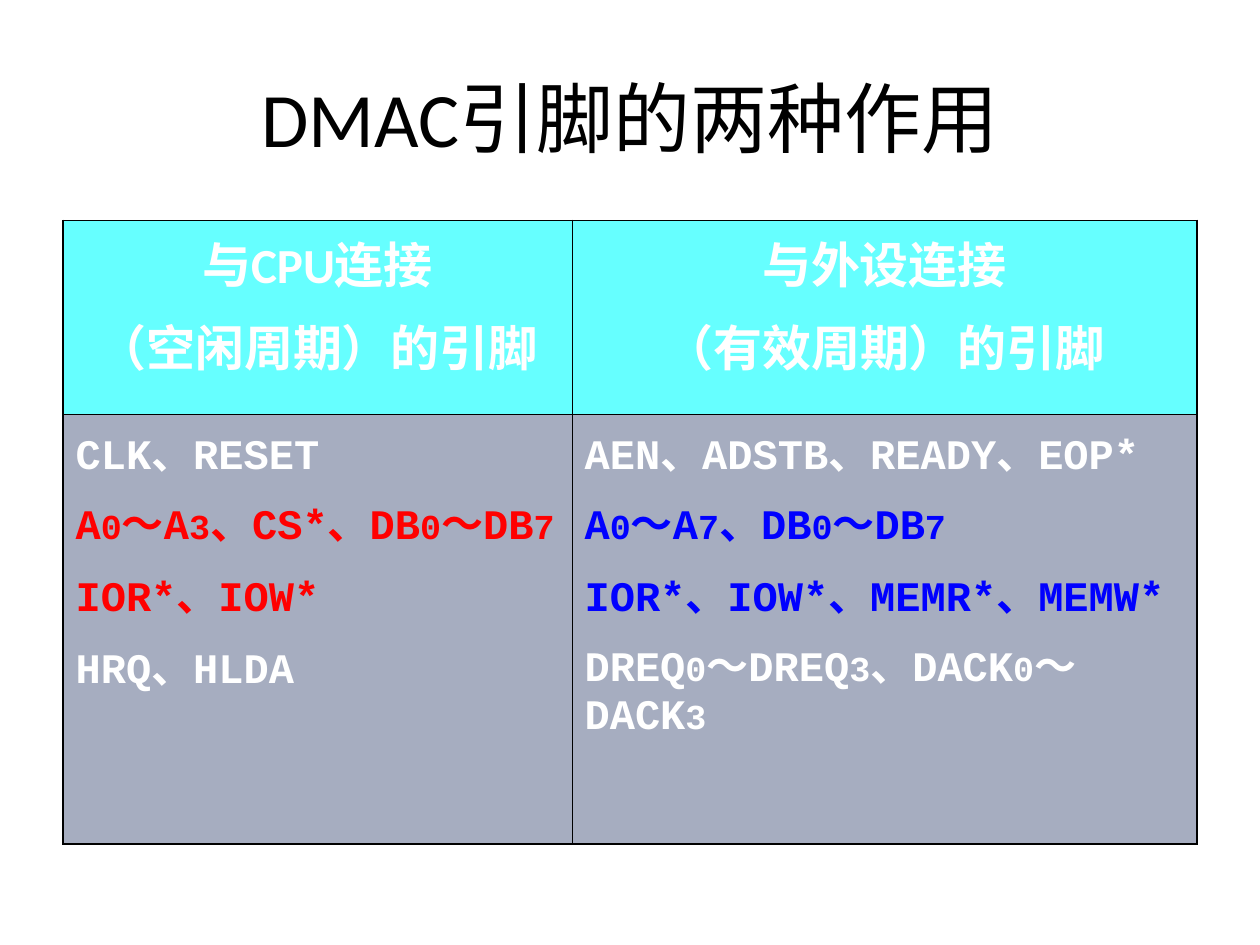
from itertools import groupby

from lxml.etree import SubElement
from pptx import Presentation
from pptx.dml.color import RGBColor
from pptx.enum.lang import MSO_LANGUAGE_ID
from pptx.enum.text import MSO_ANCHOR, PP_ALIGN
from pptx.oxml.ns import qn
from pptx.util import Pt

EMU_PER_PX = 9144  # 100 px to the inch
COLORS = {
    "black": "000000",
    "white": "FFFFFF",
    "header": "66FFFF",
    "body": "A6ADC0",
    "red": "FF0000",
    "blue": "0000FF",
}
COLUMN_WIDTHS = [404, 496]
ROW_HEIGHTS = [154, 341]
HEADERS = [
    ["与CPU连接", "（空闲周期）的引脚"],
    ["与外设连接", "（有效周期）的引脚"],
]
# Each signal line: text, colour, space before in points
SIGNALS = [
    [
        ("CLK、RESET", "white", 0),
        ("A0～A3、CS*、DB0～DB7", "red", 5),
        ("IOR*、IOW*", "red", 6),
        ("HRQ、HLDA", "white", 6),
    ],
    [
        ("AEN、ADSTB、READY、EOP*", "white", 0),
        ("A0～A7、DB0～DB7", "blue", 5),
        ("IOR*、IOW*、MEMR*、MEMW*", "blue", 6),
        ("DREQ0～DREQ3、DACK0～DACK3", "white", 5),
    ],
]


def px(length):
    return length * EMU_PER_PX


class SlideBuilder:
    heading_font = "Calibri"
    signal_font = "Courier New"
    outer_line = 1.08
    inner_line = 0.45

    def __init__(self, slide):
        self.slide = slide

    def add_run(self, paragraph, text, font_name, size, color, bold=True):
        run = paragraph.add_run()
        run.text = text
        font = run.font
        font.name, font.size, font.bold = font_name, Pt(size), bold
        font.color.rgb = RGBColor.from_string(COLORS[color])
        font.language_id = MSO_LANGUAGE_ID.SIMPLIFIED_CHINESE

    def title(self, text, left, top, width, height):
        shape = self.slide.shapes.title
        shape.left, shape.top = px(left), px(top)
        shape.width, shape.height = px(width), px(height)
        shape.text_frame.vertical_anchor = MSO_ANCHOR.MIDDLE
        paragraph = shape.text_frame.paragraphs[0]
        paragraph.alignment = PP_ALIGN.CENTER
        self.add_run(paragraph, text, self.heading_font, 44, "black", bold=False)

    def table(self, left, top, column_widths, row_heights):
        table = self.slide.shapes.add_table(
            len(row_heights), len(column_widths), px(left), px(top),
            px(sum(column_widths)), px(sum(row_heights)),
        ).table
        table.first_row = table.horz_banding = False
        for column, width in zip(table.columns, column_widths):
            column.width = px(width)
        for row, height in zip(table.rows, row_heights):
            row.height = px(height)
        last_row, last_column = len(row_heights) - 1, len(column_widths) - 1
        for i, row in enumerate(table.rows):
            for j, cell in enumerate(row.cells):
                self.cell_borders(cell, {
                    "L": j == 0, "R": j == last_column,
                    "T": i == 0, "B": i == last_row,
                })
                cell.fill.solid()
                fill = COLORS["body" if i else "header"]
                cell.fill.fore_color.rgb = RGBColor.from_string(fill)
        return table

    def cell_borders(self, cell, is_outer):
        """Draw each side, heavier where it lies on the table's edge."""
        properties = cell._tc.get_or_add_tcPr()
        for side, outer in is_outer.items():
            width = self.outer_line if outer else self.inner_line
            line = SubElement(properties, qn(f"a:ln{side}"), w=str(int(Pt(width))))
            fill = SubElement(line, qn("a:solidFill"))
            SubElement(fill, qn("a:srgbClr"), val=COLORS["black"])

    def cell_paragraphs(self, cell, count):
        frame = cell.text_frame
        for _ in range(count - 1):
            frame.add_paragraph()
        return frame.paragraphs

    def header_cell(self, cell, lines):
        paragraphs = self.cell_paragraphs(cell, len(lines))
        for i, (paragraph, text) in enumerate(zip(paragraphs, lines)):
            paragraph.alignment = PP_ALIGN.CENTER
            paragraph.space_before = Pt(7 if i else 0)
            self.add_run(paragraph, text, self.heading_font, 28, "white")

    def signal_cell(self, cell, lines):
        """List signal names, with their index digits set smaller."""
        paragraphs = self.cell_paragraphs(cell, len(lines))
        for paragraph, (text, color, space) in zip(paragraphs, lines):
            paragraph.space_before = Pt(space)
            for is_index, characters in groupby(text, str.isdigit):
                size = 20 if is_index else 24
                self.add_run(paragraph, "".join(characters),
                             self.signal_font, size, color)


def main():
    presentation = Presentation()
    presentation.slide_width, presentation.slide_height = px(1000), px(750)
    title_only = presentation.slide_layouts[5]
    builder = SlideBuilder(presentation.slides.add_slide(title_only))
    builder.title("DMAC引脚的两种作用", 50, 30, 900, 125)
    table = builder.table(50, 175, COLUMN_WIDTHS, ROW_HEIGHTS)
    for j, (header, signals) in enumerate(zip(HEADERS, SIGNALS)):
        builder.header_cell(table.cell(0, j), header)
        builder.signal_cell(table.cell(1, j), signals)
    presentation.save("out.pptx")


if __name__ == "__main__":
    main()
